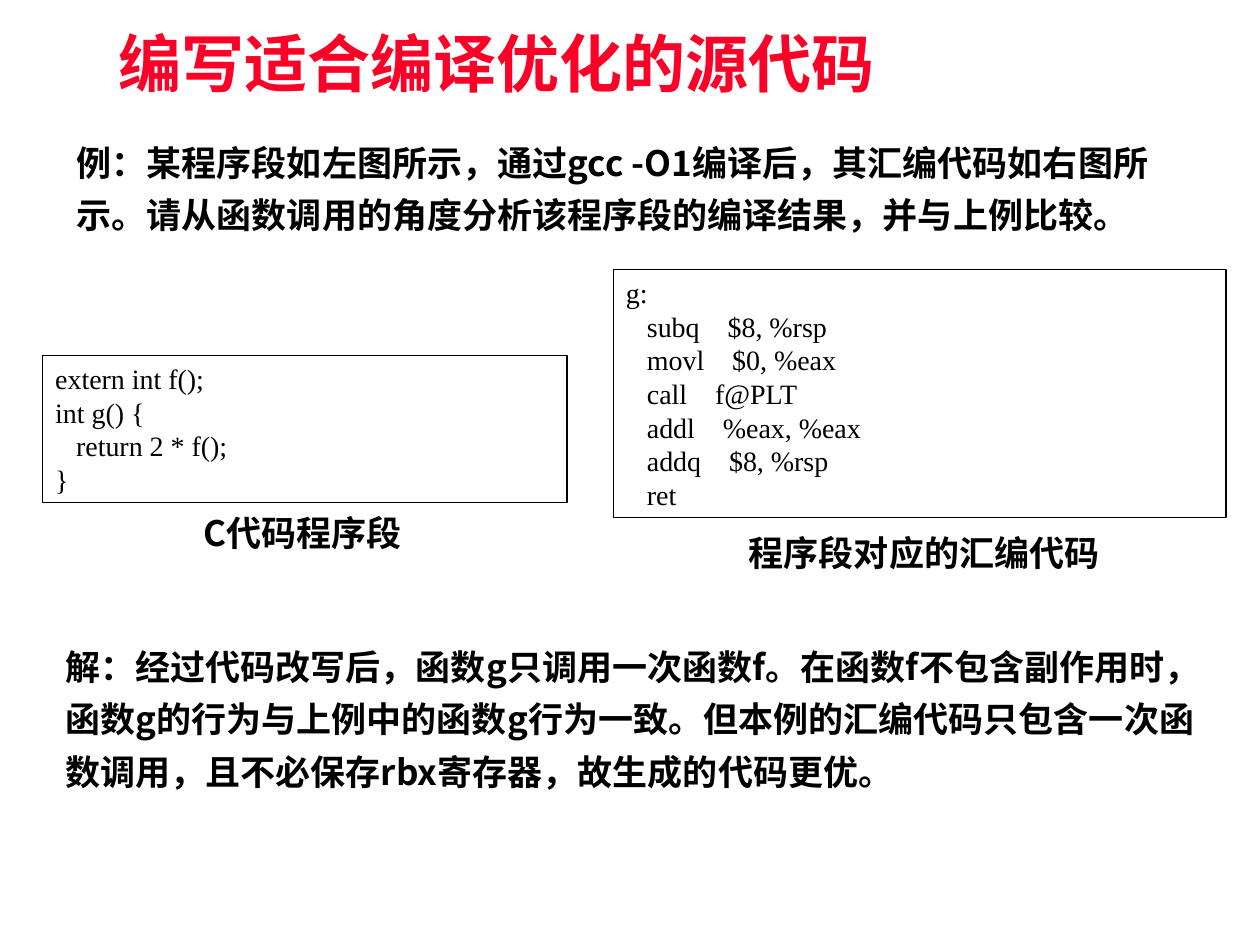
import pptx
import pptx.util
import pptx.dml.color
import pptx.enum.shapes
import pptx.enum.text
import pptx.oxml
import pptx.oxml.ns

Inches = pptx.util.Inches
Pt = pptx.util.Pt
ALIGN = pptx.enum.text.PP_ALIGN
CJK = "Noto Sans CJK SC"


def color(value):
    return pptx.dml.color.RGBColor.from_string(value)


def write(shape, lines, font_values, paragraph_values, inset=(0.1, 0.05)):
    frame = shape.text_frame
    frame_values = {
        "word_wrap": True,
        "vertical_anchor": pptx.enum.text.MSO_ANCHOR.TOP,
        "margin_left": Inches(inset[0]),
        "margin_right": Inches(inset[0]),
        "margin_top": Inches(inset[1]),
        "margin_bottom": Inches(inset[1]),
    }
    for key, value in frame_values.items():
        setattr(frame, key, value)
    for index, line in enumerate(lines):
        paragraph = frame.paragraphs[0] if index == 0 else frame.add_paragraph()
        for key, value in paragraph_values.items():
            setattr(paragraph, key, value)
        run = paragraph.add_run()
        run.text = line
        for key, value in font_values.items():
            if key == "color":
                run.font.color.rgb = color(value)
            else:
                setattr(run.font, key, value)
        east_asian = pptx.oxml.parse_xml(
            f'<a:ea {pptx.oxml.ns.nsdecls("a")} typeface="{CJK}"/>')
        run.font._element.append(east_asian)


presentation = pptx.Presentation()
presentation.slide_width = Inches(10)
presentation.slide_height = Inches(7.5)
slide = presentation.slides.add_slide(presentation.slide_layouts[6])

heading_font = {"name": "Arial", "size": Pt(36), "bold": True, "color": "FC0128"}
body_font = {"name": CJK, "size": Pt(20), "bold": True, "color": "000000"}
code_font = {"name": "Times New Roman", "size": Pt(16), "bold": False, "color": "000000"}
left = {"alignment": ALIGN.LEFT}
centered = {"alignment": ALIGN.CENTER}
body = {"alignment": ALIGN.LEFT, "line_spacing": Pt(30)}

heading = slide.shapes.add_textbox(Inches(0.87), Inches(0.25), Inches(8.37), Inches(0.58))
write(heading, ["编写适合编译优化的源代码"], heading_font,
      {"alignment": ALIGN.LEFT, "line_spacing": 0.87}, (0.07, 0.03))

c_code = ["extern int f();", "int g() {", "   return 2 * f();", "}"]
assembly = [
    "g:",
    "   subq    $8, %rsp",
    "   movl    $0, %eax",
    "   call    f@PLT",
    "   addl    %eax, %eax",
    "   addq    $8, %rsp",
    "   ret",
]
for box, lines in [((0.34, 2.82, 4.16, 1.17), c_code), ((4.87, 2.14, 4.86, 1.97), assembly)]:
    listing = slide.shapes.add_shape(
        pptx.enum.shapes.MSO_SHAPE.RECTANGLE, *map(Inches, box))
    listing.shadow.inherit = False
    listing.fill.background()
    listing.line.color.rgb = color("000000")
    listing.line.width = Pt(0.75)
    write(listing, lines, code_font, left)

passages = [
    ((0.32, 4.01, 4.16, 0.44), "C代码程序段", centered),
    ((5.11, 4.17, 4.45, 0.44), "程序段对应的汇编代码", centered),
    ((0.51, 0.99, 8.79, 1.35),
     "例：某程序段如左图所示，通过gcc -O1编译后，其汇编代码如右图所示。"
     "请从函数调用的角度分析该程序段的编译结果，并与上例比较。", body),
    ((0.42, 4.99, 9.25, 1.35),
     "解：经过代码改写后，函数g只调用一次函数f。在函数f不包含副作用时，"
     "函数g的行为与上例中的函数g行为一致。但本例的汇编代码只包含一次函数调用，"
     "且不必保存rbx寄存器，故生成的代码更优。", body),
]
for box, text, layout in passages:
    passage = slide.shapes.add_textbox(*map(Inches, box))
    write(passage, [text], body_font, layout)

presentation.save("out.pptx")
